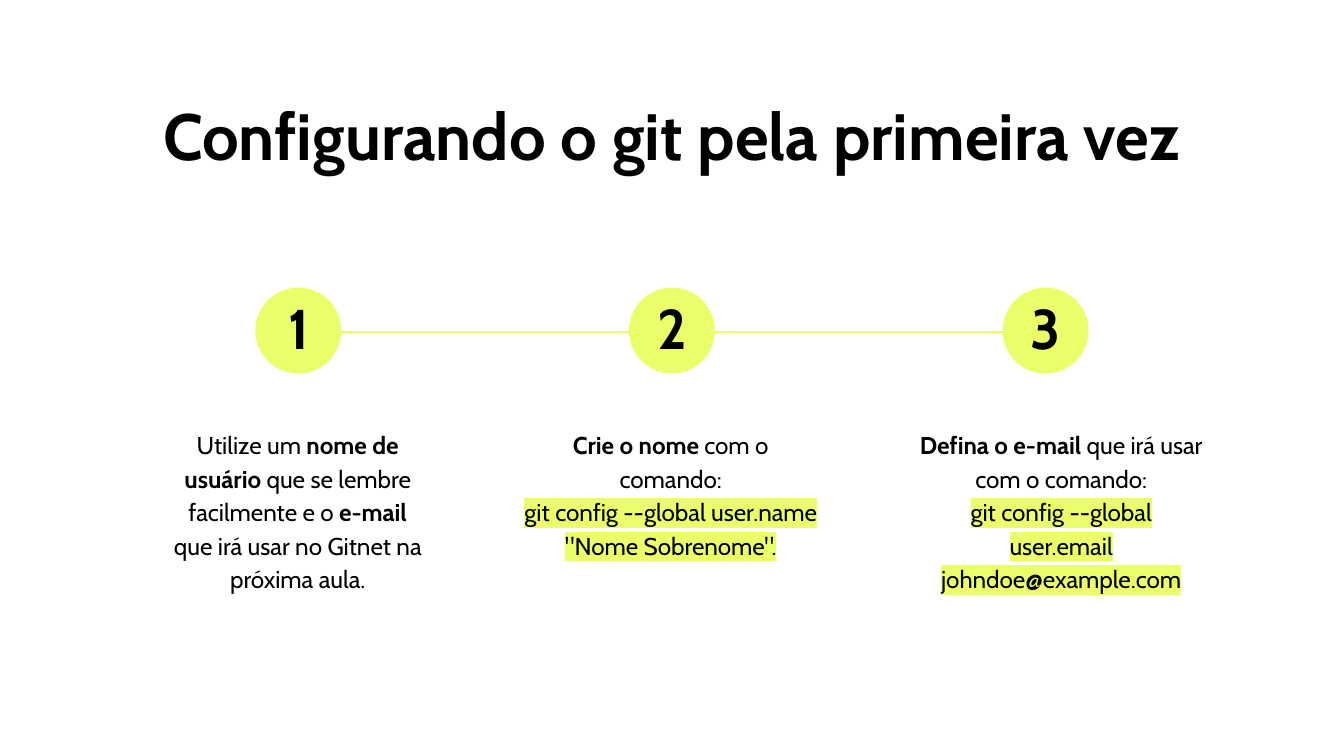
from lxml.etree import SubElement
from pptx import Presentation
from pptx.dml.color import RGBColor
from pptx.enum.shapes import MSO_CONNECTOR as Connector, MSO_SHAPE as Shape
from pptx.enum.text import MSO_ANCHOR as Anchor, MSO_AUTO_SIZE as AutoSize, PP_ALIGN as Align
from pptx.oxml.ns import qn
from pptx.util import Inches, Pt

COLORS = {"text": "000000", "accent": "EAFF6A"}

TITLE = "Configurando o git pela primeira vez"
STEPS = [
    {"number": "1", "left": 1.15, "width": 2.13, "lines": [
        [("Utilize um ", ""), ("nome de usuário ", "bold"),
         ("que se lembre facilmente e o ", ""), ("e-mail", "bold"),
         (" que irá usar no Gitnet na próxima aula.", "")]]},
    {"number": "2", "left": 3.78, "width": 2.42, "lines": [
        [("Crie o nome ", "bold"), ("com o comando:", "")],
        [('git config --global user.name "Nome Sobrenome".', "command")]]},
    {"number": "3", "left": 6.72, "width": 2.35, "lines": [
        [("Defina o e-mail", "bold"), (" que irá usar com o comando:", "")],
        [("git config --global user.email johndoe@example.com", "command")]]},
]

FRAME = {"word_wrap": True, "auto_size": AutoSize.NONE, "vertical_anchor": Anchor.TOP,
         "margin_left": Inches(0.1), "margin_right": Inches(0.1),
         "margin_top": Inches(0.1), "margin_bottom": Inches(0.1)}
TITLE_FONT = {"name": "Cabin", "size": Pt(35), "bold": True}
NUMBER_FONT = {"name": "Cabin", "size": Pt(30), "bold": True}
BODY_FONT = {"name": "Cabin", "size": Pt(13)}

SLIDE_WIDTH = 10
SLIDE_HEIGHT = SLIDE_WIDTH * 9 / 16
FIRST_CENTER, STEP_GAP = 2.22, 2.78
CIRCLE_TOP, DIAMETER = 2.14, 0.64
LINK_TOP = 2.47
NUMBER_WIDTH, NUMBER_HEIGHT = 0.45, 0.66
BODY_TOP, BODY_HEIGHT = 3.07, 1.68


def color(key):
    return RGBColor.from_string(COLORS[key])


def box(*lengths):
    return [Inches(length) for length in lengths]


def apply(target, values):
    for key, value in values.items():
        setattr(target, key, value)


def write(frame, lines, font, spacing):
    apply(frame, FRAME)
    for index, line in enumerate(lines):
        paragraph = frame.add_paragraph() if index else frame.paragraphs[0]
        apply(paragraph, {"alignment": Align.CENTER, "line_spacing": spacing})
        for text, style in line:
            run = paragraph.add_run()
            run.text = text
            apply(run.font, {"bold": style == "bold", **font})
            run.font.color.rgb = color("text")
            if style == "command":
                properties = run.font._element
                highlight = SubElement(properties, qn("a:highlight"))
                SubElement(highlight, qn("a:srgbClr"), val=COLORS["accent"])
                properties.find(qn("a:latin")).addprevious(highlight)


def add_text(slide, place, lines, font, spacing):
    write(slide.shapes.add_textbox(*box(*place)).text_frame, lines, font, spacing)


def add_link(slide, start, end):
    link = slide.shapes.add_connector(Connector.STRAIGHT, *box(start, LINK_TOP, end, LINK_TOP))
    link.line.color.rgb = color("accent")
    link.line.width = Pt(0.75)
    SubElement(link._element.spPr, qn("a:effectLst"))


def add_step(slide, index, step):
    center = FIRST_CENTER + index * STEP_GAP
    left = center - DIAMETER / 2
    if index:
        add_link(slide, left - STEP_GAP + DIAMETER, left)
    circle = slide.shapes.add_shape(Shape.OVAL, *box(left, CIRCLE_TOP, DIAMETER, DIAMETER))
    circle.shadow.inherit = False
    circle.fill.solid()
    circle.fill.fore_color.rgb = color("accent")
    circle.line.fill.background()
    add_text(slide, (center - NUMBER_WIDTH / 2, CIRCLE_TOP, NUMBER_WIDTH, NUMBER_HEIGHT),
             [[(step["number"], "")]], NUMBER_FONT, 0.9)
    add_text(slide, (step["left"], BODY_TOP, step["width"], BODY_HEIGHT),
             step["lines"], BODY_FONT, 1.15)


def main():
    deck = Presentation()
    deck.slide_width, deck.slide_height = box(SLIDE_WIDTH, SLIDE_HEIGHT)
    slide = deck.slides.add_slide(deck.slide_layouts[5])
    title = slide.shapes.title
    title.left, title.top, title.width, title.height = box(0.55, 0.61, 8.9, 1.4)
    write(title.text_frame, [[(TITLE, "")]], TITLE_FONT, 1.0)
    for index, step in enumerate(STEPS):
        add_step(slide, index, step)
    deck.save("out.pptx")


if __name__ == "__main__":
    main()
